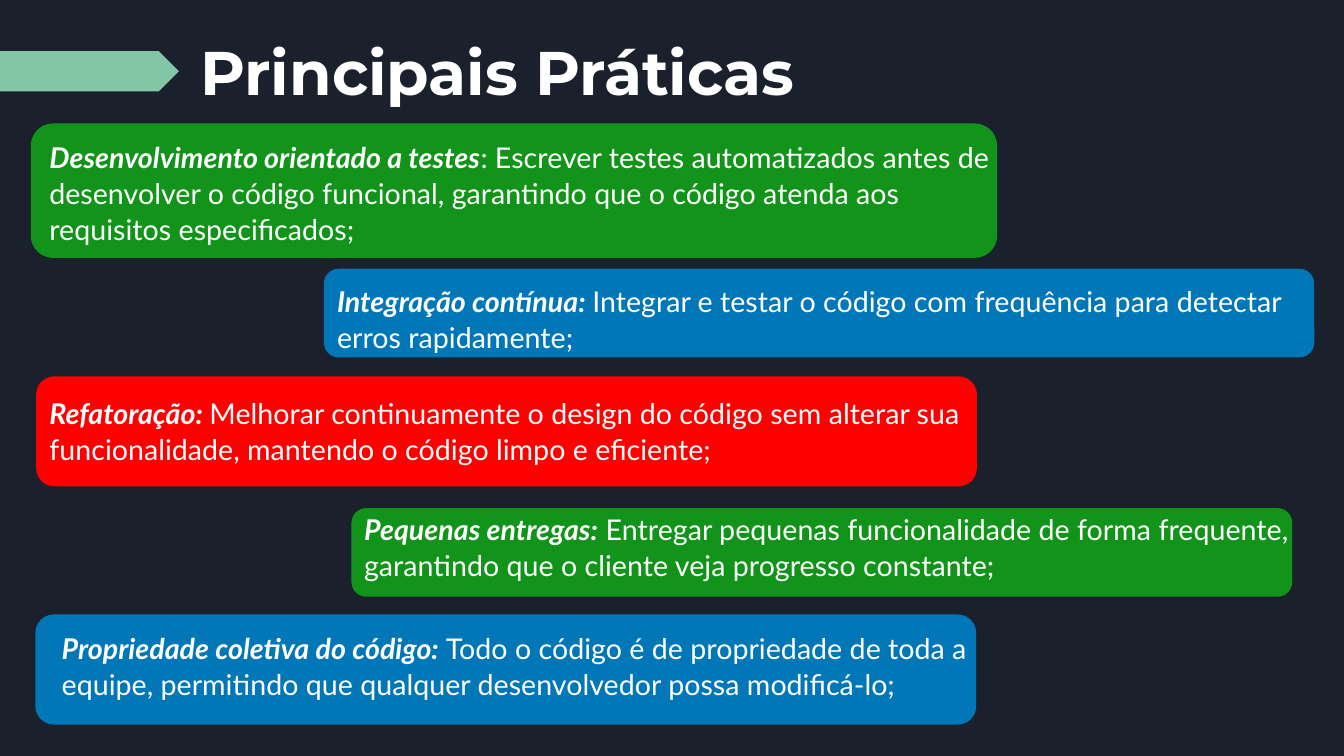
from pptx import Presentation
from pptx import util as u
from pptx.dml.color import RGBColor
from pptx.enum import shapes, text

NAVY = RGBColor(0x1B, 0x21, 0x2C)
WHITE = RGBColor(0xFF, 0xFF, 0xFF)
GREEN = RGBColor(0x12, 0x94, 0x1A)
BLUE = RGBColor(0x01, 0x77, 0xB8)
RED = RGBColor(0xFF, 0x00, 0x00)
MINT = RGBColor(0x82, 0xC7, 0xA5)

TITLE_ONLY = 5
INSET = 7.2
TEXT_WIDTH = 522.7

PRACTICES = [
    (GREEN, (16.5, 66.2, 517.7, 72), (19.4, 67, 49.7),
     "Desenvolvimento orientado a testes",
     ": Escrever testes automatizados antes de desenvolver o código funcional, "
     "garantindo que o código atenda aos requisitos especificados;"),
    (BLUE, (173.5, 144, 530.6, 47.5), (173.5, 144, 32.4),
     "Integração contínua: ",
     "Integrar e testar o código com frequência para detectar erros rapidamente;"),
    (RED, (19.4, 201.6, 504, 59), (19.4, 203.8, 21.6),
     "Refatoração: ",
     "Melhorar continuamente o design do código sem alterar sua funcionalidade, "
     "mantendo o código limpo e eficiente;"),
    (GREEN, (188.3, 272.2, 504, 47.5), (188, 266.4, 37.4),
     "Pequenas entregas:",
     " Entregar pequenas funcionalidade de forma frequente, "
     "garantindo que o cliente veja progresso constante;"),
    (BLUE, (19, 329.2, 504, 59), (26, 329.8, 37.4),
     "Propriedade coletiva do código: ",
     "Todo o código é de propriedade de toda a equipe, "
     "permitindo que qualquer desenvolvedor possa modificá-lo;"),
]


def points(*lengths):
    return [u.Pt(length) for length in lengths]


def format_run(run, font_name, size, bold=False, italic=False):
    run.font.name = font_name
    run.font.size = u.Pt(size)
    run.font.bold = bold
    run.font.italic = italic
    run.font.color.rgb = WHITE


def format_frame(text_frame, anchor):
    text_frame.word_wrap = True
    text_frame.auto_size = text.MSO_AUTO_SIZE.NONE
    text_frame.vertical_anchor = anchor
    text_frame.margin_left = text_frame.margin_right = u.Pt(INSET)
    text_frame.margin_top = text_frame.margin_bottom = u.Pt(INSET)


def add_filled_shape(slide, kind, box, color):
    shape = slide.shapes.add_shape(kind, *points(*box))
    shape.shadow.inherit = False
    shape.fill.solid()
    shape.fill.fore_color.rgb = color
    shape.line.fill.background()


def set_title(slide, wording):
    title = slide.shapes.title
    title.left, title.top, title.width, title.height = points(100, 8.6, 360, 59)
    title.text_frame.text = wording
    format_frame(title.text_frame, text.MSO_ANCHOR.MIDDLE)
    paragraph = title.text_frame.paragraphs[0]
    paragraph.alignment = text.PP_ALIGN.LEFT
    format_run(paragraph.runs[0], "Montserrat", 33, bold=True)


def add_description(slide, position, name, description):
    left, top, height = position
    text_box = slide.shapes.add_textbox(*points(left, top, TEXT_WIDTH, height))
    format_frame(text_box.text_frame, text.MSO_ANCHOR.TOP)
    paragraph = text_box.text_frame.paragraphs[0]
    paragraph.line_spacing = 1.05
    paragraph.space_before = u.Pt(12)
    for wording, emphasis in ((name, True), (description, False)):
        run = paragraph.add_run()
        run.text = wording
        format_run(run, "Lato", 15.3, bold=emphasis, italic=emphasis)


def main():
    presentation = Presentation()
    presentation.slide_width, presentation.slide_height = points(720, 405)
    slide = presentation.slides.add_slide(presentation.slide_layouts[TITLE_ONLY])
    slide.background.fill.solid()
    slide.background.fill.fore_color.rgb = NAVY

    set_title(slide, "Principais Práticas")
    add_filled_shape(slide, shapes.MSO_SHAPE.PENTAGON, (0, 27.4, 95.8, 21.6), MINT)
    for color, card, position, name, description in PRACTICES:
        add_filled_shape(slide, shapes.MSO_SHAPE.ROUNDED_RECTANGLE, card, color)
        add_description(slide, position, name, description)
    presentation.save("out.pptx")


if __name__ == "__main__":
    main()
